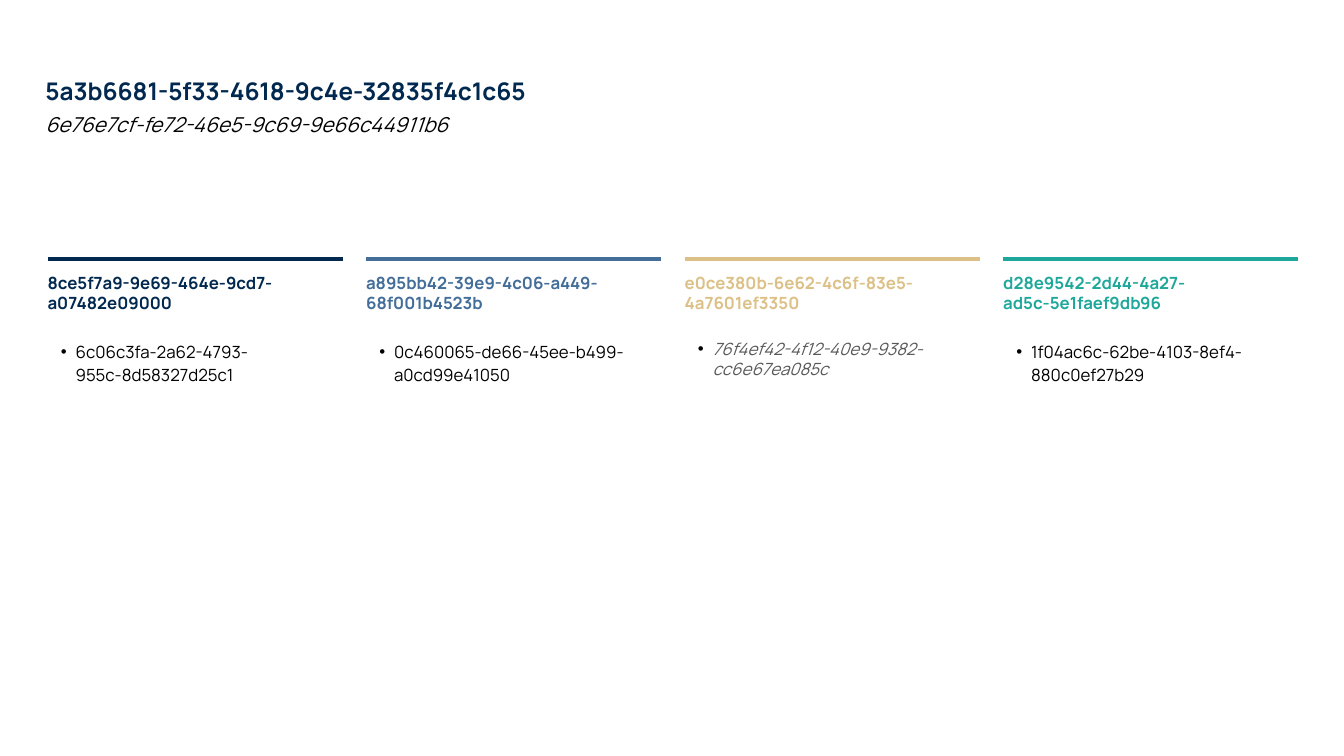
from dataclasses import dataclass

from lxml import etree
from pptx import Presentation
from pptx.dml.color import RGBColor
from pptx.enum.shapes import MSO_CONNECTOR
from pptx.enum.text import MSO_ANCHOR
from pptx.oxml.ns import qn
from pptx.slide import Slide
from pptx.util import Cm, Length, Pt

STRAIGHT = MSO_CONNECTOR.STRAIGHT
TOP = MSO_ANCHOR.TOP
FONT_NAME = "Manrope"

NAVY = RGBColor(0x01, 0x28, 0x4F)
BLUE = RGBColor(0x43, 0x6E, 0x99)
SAND = RGBColor(0xDC, 0xC0, 0x86)
TEAL = RGBColor(0x1E, 0xA8, 0x9B)
BLACK = RGBColor(0x00, 0x00, 0x00)
GRAY = RGBColor(0x59, 0x59, 0x59)

MARGIN_LEFT = Cm(0.9)
COLUMN_PITCH = Cm(6.02)
COLUMN_WIDTH = Cm(5.58)
RULE_TOP = Cm(4.9)
BODY_TOP = Cm(6.27)
BODY_HEIGHT = Cm(5.79)
HEADING_HEIGHT = Cm(1.12)
BULLET_INDENT = Cm(0.28)

HEADING_INSETS = {
    "margin_left": 0,
    "margin_right": 0,
    "margin_top": Cm(0.25),
    "margin_bottom": Cm(0.25),
}
BODY_INSETS = {
    "margin_left": Cm(0.25),
    "margin_right": Cm(0.25),
    "margin_top": Cm(0.13),
    "margin_bottom": Cm(0.13),
}


@dataclass(frozen=True)
class TextStyle:
    size: float
    color: RGBColor
    bold: bool = False
    italic: bool = False
    line_spacing: float = 1.0
    bulleted: bool = False


@dataclass(frozen=True)
class Title:
    text: str
    top: Length
    style: TextStyle


@dataclass(frozen=True)
class Column:
    heading: str
    body: str
    color: RGBColor
    body_style: TextStyle


BODY = TextStyle(9, BLACK, line_spacing=1.14, bulleted=True)
PLACEHOLDER_BODY = TextStyle(9, GRAY, italic=True, bulleted=True)

TITLES = (
    Title("5a3b6681-5f33-4618-9c4e-32835f4c1c65", Cm(1.19), TextStyle(13, NAVY, bold=True)),
    Title("6e76e7cf-fe72-46e5-9c69-9e66c44911b6", Cm(1.88), TextStyle(11, BLACK, italic=True)),
)
COLUMNS = (
    Column("8ce5f7a9-9e69-464e-9cd7-a07482e09000",
           "6c06c3fa-2a62-4793-955c-8d58327d25c1", NAVY, BODY),
    Column("a895bb42-39e9-4c06-a449-68f001b4523b",
           "0c460065-de66-45ee-b499-a0cd99e41050", BLUE, BODY),
    Column("e0ce380b-6e62-4c6f-83e5-4a7601ef3350",
           "76f4ef42-4f12-40e9-9382-cc6e67ea085c", SAND, PLACEHOLDER_BODY),
    Column("d28e9542-2d44-4a27-ad5c-5e1faef9db96",
           "1f04ac6c-62be-4103-8ef4-880c0ef27b29", TEAL, BODY),
)


def add_bullet(paragraph) -> None:
    properties = paragraph._p.get_or_add_pPr()
    properties.set("marL", str(BULLET_INDENT))
    properties.set("indent", str(-BULLET_INDENT))
    bullet_color = etree.SubElement(properties, qn("a:buClr"))
    etree.SubElement(bullet_color, qn("a:srgbClr"), val=str(BLACK))
    etree.SubElement(properties, qn("a:buFont"), typeface="Arial")
    etree.SubElement(properties, qn("a:buChar"), char="•")


def add_text(slide: Slide, text: str, left: Length, top: Length, width: Length,
             height: Length, insets: dict, style: TextStyle) -> None:
    frame = slide.shapes.add_textbox(left, top, width, height).text_frame
    frame_format = {"word_wrap": True, "vertical_anchor": TOP, **insets}
    for name, value in frame_format.items():
        setattr(frame, name, value)
    paragraph = frame.paragraphs[0]
    if style.bulleted:
        add_bullet(paragraph)
        paragraph.space_after = Pt(6)
    paragraph.line_spacing = style.line_spacing
    run = paragraph.add_run()
    run.text = text
    font_format = {
        "name": FONT_NAME,
        "size": Pt(style.size),
        "bold": style.bold,
        "italic": style.italic,
    }
    for name, value in font_format.items():
        setattr(run.font, name, value)
    run.font.color.rgb = style.color


def add_rule(slide: Slide, left: Length, color: RGBColor) -> None:
    connector = slide.shapes.add_connector(
        STRAIGHT, left, RULE_TOP, left + COLUMN_WIDTH, RULE_TOP)
    connector.line.color.rgb = color
    connector.line.width = Pt(2.25)
    etree.SubElement(connector._element.spPr, qn("a:effectLst"))


def add_column(slide: Slide, column: Column, left: Length) -> None:
    add_rule(slide, left, column.color)
    add_text(slide, column.heading, left, RULE_TOP, COLUMN_WIDTH, HEADING_HEIGHT,
             HEADING_INSETS, TextStyle(9, column.color, bold=True))
    add_text(slide, column.body, left, BODY_TOP, COLUMN_WIDTH, BODY_HEIGHT,
             BODY_INSETS, column.body_style)


def main() -> None:
    presentation = Presentation()
    presentation.slide_width = Cm(25.4)
    presentation.slide_height = Cm(14.29)
    slide = presentation.slides.add_slide(presentation.slide_layouts[6])
    for title in TITLES:
        add_text(slide, title.text, Cm(0.86), title.top, Cm(23.67), HEADING_HEIGHT,
                 HEADING_INSETS, title.style)
    for index, column in enumerate(COLUMNS):
        add_column(slide, column, MARGIN_LEFT + index * COLUMN_PITCH)
    presentation.save("out.pptx")


if __name__ == "__main__":
    main()
